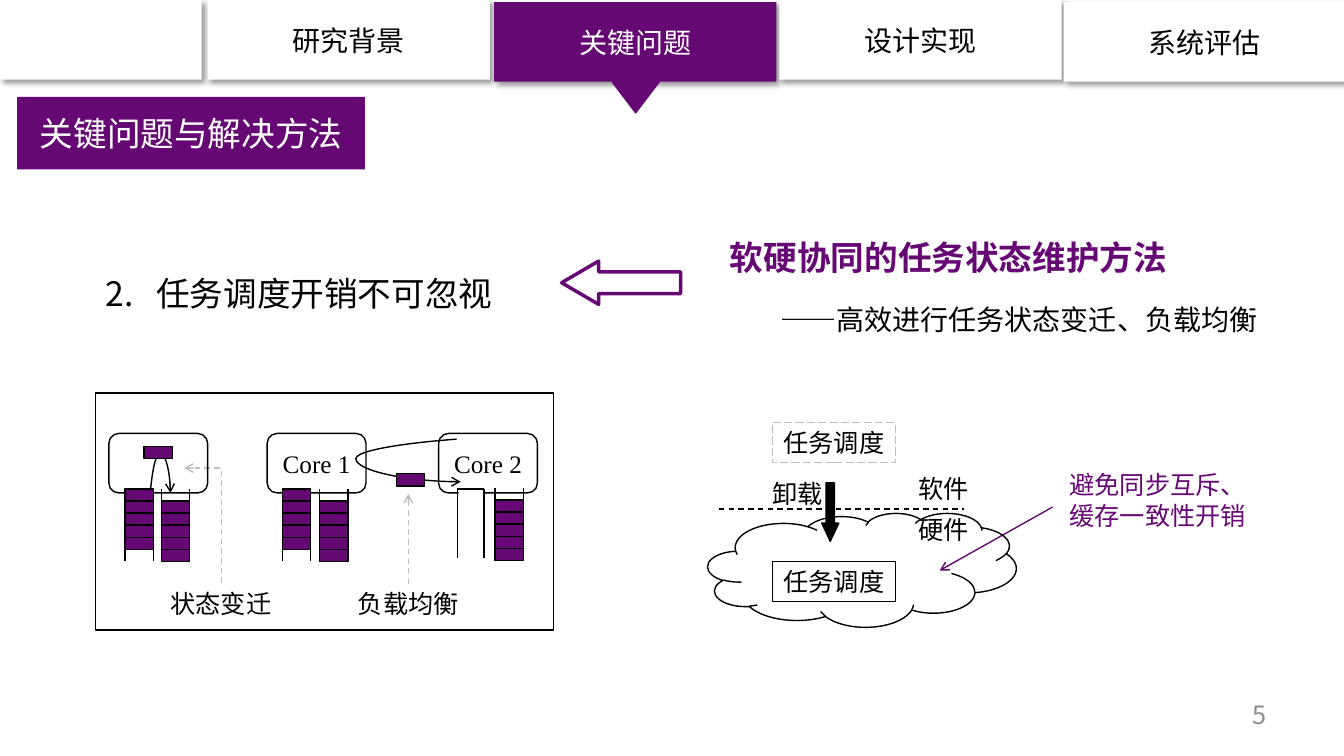
"""Build the slide on key problems and the task scheduling solution."""
from pptx import Presentation
from pptx.dml.color import RGBColor
from pptx.enum import dml, shapes, text
from pptx.oxml import parse_xml
from pptx.oxml.ns import nsdecls, qn
from pptx.util import Inches, Pt

PLUM = RGBColor(0x66, 0x08, 0x74)
BLACK = RGBColor(0, 0, 0)
WHITE = RGBColor(0xFF, 0xFF, 0xFF)
SILVER = RGBColor(0xBE, 0xBE, 0xBE)
GRAY = RGBColor(0x8C, 0x8C, 0x8C)
SANS = "Noto Sans CJK SC"
SHAPE = shapes.MSO_SHAPE
LINK = shapes.MSO_CONNECTOR
ALIGN = text.PP_ALIGN
MID = text.MSO_ANCHOR.MIDDLE
TOP = text.MSO_ANCHOR.TOP

deck = Presentation()
deck.slide_width, deck.slide_height = Inches(13.33), Inches(7.5)
slide = deck.slides.add_slide(deck.slide_layouts[3])


def draw(kind, left, top, width, height, fill=None, line=None, weight=1):
    spot = [Inches(n) for n in (left, top, width, height)]
    if kind is None:
        return slide.shapes.add_textbox(*spot)
    shape = slide.shapes.add_shape(kind, *spot)
    shape.shadow.inherit = False
    for part, tone in ((shape.fill, fill), (shape.line.fill, line)):
        if tone is None:
            part.background()
        else:
            part.solid()
            part.fore_color.rgb = tone
    if line is not None:
        shape.line.width = Pt(weight)
    return shape


def write(shape, words, size, tone=BLACK, align=ALIGN.CENTER, anchor=MID, font=SANS):
    frame = shape.text_frame
    frame.text = words
    frame.word_wrap = True
    frame.auto_size = text.MSO_AUTO_SIZE.NONE
    frame.vertical_anchor = anchor
    for para in frame.paragraphs:
        para.alignment = align
        for run in para.runs:
            run.font.size = Pt(size)
            run.font.name = font
            run.font.color.rgb = tone
            run._r.get_or_add_rPr().append(
                parse_xml(f'<a:ea {nsdecls("a")} typeface="{font}"/>'))


title, left, right = slide.placeholders
for holder, spot in ((title, (0.17, 0.96, 3.45, 0.72)),
                     (left, (0.95, 2.1, 4.31, 1.42)),
                     (right, (7.14, 2.1, 5.43, 1.42))):
    holder.left, holder.top, holder.width, holder.height = map(Inches, spot)

title.fill.solid()
title.fill.fore_color.rgb = PLUM
write(title, "关键问题与解决方法", 24, WHITE)
write(left, "任务调度开销不可忽视", 24, align=ALIGN.LEFT)
write(right, "软硬协同的任务状态维护方法\n——高效进行任务状态变迁、负载均衡", 24,
      align=ALIGN.LEFT, anchor=TOP)
right.text_frame.margin_right = 0
head, note = right.text_frame.paragraphs
item = left.text_frame.paragraphs[0]
head.runs[0].font.bold = True
head.runs[0].font.color.rgb = PLUM
note.runs[0].font.size = Pt(20)
number = '<a:buAutoNum {} type="arabicPeriod" startAt="2"/>'
plain = "<a:buNone {}/>"
for para, margin, indent, gap, mark in ((item, 0.5, -0.5, 0, number),
                                        (head, 0, 0, 0, plain),
                                        (note, 0, 0.5, 6, plain)):
    para.line_spacing = 1.5
    para.space_before = para.space_after = Pt(gap)
    props = para._p.get_or_add_pPr()
    props.set("marL", str(Inches(margin)))
    props.set("indent", str(Inches(indent)))
    props.append(parse_xml(mark.format(nsdecls("a"))))

for x, y, width, name in ((0, 0, 2, ""), (2.06, 0, 2.8, "研究背景"),
                          (4.9, 0.02, 2.8, "关键问题"),
                          (7.73, 0, 2.8, "设计实现"),
                          (10.55, 0.02, 2.8, "系统评估")):
    live = name == "关键问题"
    tab = draw(SHAPE.RECTANGLE, x, y, width, 0.79, PLUM if live else WHITE)
    if name:
        write(tab, name, 20, WHITE if live else BLACK)
    glow = tab._element.spPr.find(qn("a:effectLst"))
    glow.append(parse_xml(
        f'<a:outerShdw {nsdecls("a")} blurRad="50800" dist="38100" dir="2700000" '
        'algn="tl" rotWithShape="0"><a:srgbClr val="000000">'
        '<a:alpha val="40000"/></a:srgbClr></a:outerShdw>'))
draw(SHAPE.FLOWCHART_MERGE, 6.07, 0.81, 0.47, 0.31, PLUM, PLUM)
arrow = draw(SHAPE.LEFT_ARROW, 5.57, 2.59, 1.18, 0.43, None, PLUM, 2.5)
arrow.adjustments[1] = 0.855

queues = [(1.24, 4.85, 5.45), (1.6, 4.97, 4.85), (2.8, 4.85, 5.45),
          (3.17, 4.97, 4.85), (4.91, 4.96, 4.84)]
rails = [(LINK.STRAIGHT, x + side, rail, x + side, rail + 0.12,
          BLACK, False, None, None, 0)
         for x, top, rail in queues for side in (0, 0.28)]
links = rails + [
    (LINK.STRAIGHT, 4.53, 4.85, 4.8, 4.85, BLACK, False, None, None, 0),
    (LINK.STRAIGHT, 4.54, 4.85, 4.54, 5.54, BLACK, False, None, None, 0),
    (LINK.STRAIGHT, 4.8, 4.85, 4.8, 5.54, BLACK, False, None, None, 0),
    (LINK.CURVE, 5.53, 4.32, 4.57, 4.78, BLACK, False, "tailEnd", 2.084, 0),
    (LINK.CURVE, 1.46, 4.91, 1.71, 5.12, BLACK, False, "headEnd", -1.583, 90),
    (LINK.ELBOW, 1.44, 5.4, 2.58, 5.03, SILVER, True, "tailEnd", 1.001, 270),
    (LINK.STRAIGHT, 7.13, 5.05, 9.56, 5.05, BLACK, True, None, None, 0),
    (LINK.STRAIGHT, 10.44, 5.03, 9.32, 5.66, PLUM, False, "tailEnd", None, 0),
    (LINK.STRAIGHT, 4.05, 5.79, 4.05, 4.9, SILVER, True, "tailEnd", None, 0),
]
for kind, x1, y1, x2, y2, tone, dashed, tip, bend, turn in links:
    link = slide.shapes.add_connector(kind, *map(Inches, (x1, y1, x2, y2)))
    link.line.color.rgb = tone
    link.line.width = Pt(1)
    if dashed:
        link.line.dash_style = dml.MSO_LINE.DASH
    props = link._element.spPr
    if tip:
        props.find(qn("a:ln")).append(
            parse_xml(f'<a:{tip} {nsdecls("a")} type="arrow"/>'))
    if bend:
        props.find(".//" + qn("a:avLst")).append(parse_xml(
            f'<a:gd {nsdecls("a")} name="adj1" fmla="val {round(bend * 100000)}"/>'))
    if turn:
        props.find(qn("a:xfrm")).set("rot", str(turn * 60000))
    props.append(parse_xml(f'<a:effectLst {nsdecls("a")}/>'))

draw(SHAPE.RECTANGLE, 4.53, 4.3, 1.04, 0.08, WHITE)
for x, name in ((1.08, ""), (2.65, "Core 1"), (4.35, "Core 2")):
    core = draw(SHAPE.ROUNDED_RECTANGLE, x, 4.3, 0.98, 0.59, None, BLACK)
    if name:
        write(core, name, 18, font="Times New Roman")
draw(SHAPE.RECTANGLE, 1.43, 4.89, 0.09, 0.27, WHITE)
draw(SHAPE.RECTANGLE, 4.55, 4.87, 0.24, 0.08, WHITE)
cells = [(x, top + 0.12 * row) for x, top, rail in queues for row in range(5)]
for x, y in cells + [(1.43, 4.43), (3.93, 4.7)]:
    draw(SHAPE.RECTANGLE, x, y, 0.28, 0.12, PLUM, BLACK)
draw(SHAPE.RECTANGLE, 0.95, 3.9, 4.54, 2.35, None, BLACK)

draw(SHAPE.CLOUD, 7.02, 5.09, 3.06, 1.13, None, BLACK)
soft = draw(SHAPE.RECTANGLE, 7.66, 4.19, 1.22, 0.4, None, SILVER, 0.75)
soft.line.dash_style = dml.MSO_LINE.LONG_DASH
hard = draw(SHAPE.RECTANGLE, 7.66, 5.57, 1.22, 0.4, None, BLACK)
for task in (soft, hard):
    write(task, "任务调度", 18)
down = draw(SHAPE.DOWN_ARROW, 8.15, 4.79, 0.17, 0.58, BLACK, BLACK)
down.adjustments[1] = 1.066

for x, y, width, height, words, size, tone, align, anchor in (
        (1.58, 5.79, 1.22, 0.4, "状态变迁", 18, BLACK, ALIGN.CENTER, TOP),
        (9, 4.65, 0.71, 0.39, "软件", 18, BLACK, ALIGN.RIGHT, TOP),
        (9, 5.05, 0.71, 0.39, "硬件", 18, BLACK, ALIGN.RIGHT, TOP),
        (7.55, 4.7, 0.71, 0.39, "卸载", 18, BLACK, ALIGN.RIGHT, TOP),
        (10.51, 4.61, 2.15, 0.71, "避免同步互斥、\n缓存一致性开销", 18, PLUM,
         ALIGN.LEFT, TOP),
        (9.71, 6.91, 2.95, 0.35, "5", 18, GRAY, ALIGN.RIGHT, MID),
        (3.44, 5.79, 1.22, 0.4, "负载均衡", 18, BLACK, ALIGN.CENTER, TOP)):
    label = draw(None, x, y, width, height)
    write(label, words, size, tone, align, anchor)
link.begin_connect(label, 0)

deck.save("out.pptx")
